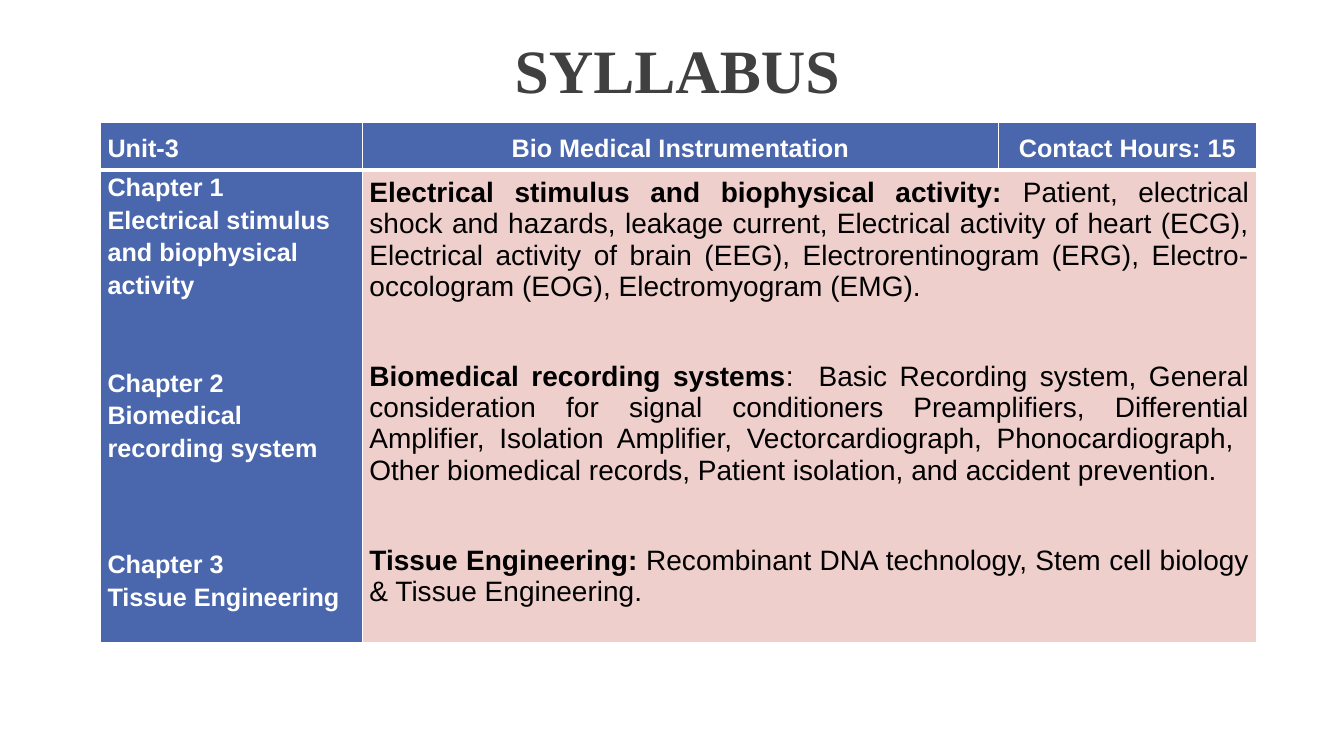
from lxml import etree
from pptx import Presentation
from pptx.dml.color import RGBColor
from pptx.enum.text import MSO_ANCHOR, MSO_AUTO_SIZE, PP_ALIGN
from pptx.oxml.ns import qn
from pptx.util import Cm, Pt

LEFT, CENTER, JUSTIFY = PP_ALIGN.LEFT, PP_ALIGN.CENTER, PP_ALIGN.JUSTIFY
TOP, MIDDLE = MSO_ANCHOR.TOP, MSO_ANCHOR.MIDDLE
BLUE, PINK, WHITE, BLACK, GREY = "4A66AC", "EFCFCC", "FFFFFF", "000000", "404040"


def style(r, size, color, bold=True, name="Arial"):
    r.font.size, r.font.bold, r.font.name = Pt(size), bold, name
    r.font.color.rgb = RGBColor.from_string(color)


def format_cell(cell, fill, anchor, widths):
    """Fill and margins, then white borders with widths in points per side."""
    cell.fill.solid()
    cell.fill.fore_color.rgb = RGBColor.from_string(fill)
    cell.vertical_anchor = anchor
    cell.margin_left = cell.margin_right = Cm(0.18)
    cell.margin_top = cell.margin_bottom = 0
    tcPr = cell._tc.get_or_add_tcPr()
    for i, (side, width) in enumerate(widths.items()):
        ln = etree.Element(qn("a:ln" + side), w=str(Pt(width)))
        solid = etree.SubElement(ln, qn("a:solidFill"))
        etree.SubElement(solid, qn("a:srgbClr"), val=WHITE)
        tcPr.insert(i, ln)


prs = Presentation()
prs.slide_width, prs.slide_height = Cm(33.87), Cm(19.05)
s = prs.slides.add_slide(prs.slide_layouts[5])

# Title
title = s.shapes.title
title.left, title.top, title.width, title.height = Cm(3.15), Cm(0.53), Cm(27.84), Cm(2.67)
tf = title.text_frame
tf.text = "SYLLABUS"
tf.auto_size = MSO_AUTO_SIZE.NONE
tf.vertical_anchor = MIDDLE
p = tf.paragraphs[0]
p.alignment, p.line_spacing = CENTER, 0.9
style(p.runs[0], 44, GREY, name="Times New Roman")

# Table grid
frame = s.shapes.add_table(2, 3, Cm(2.53), Cm(3.09), Cm(29.13), Cm(13.1))
table = frame.table
table.first_row = table.horz_banding = False
for column, width in zip(table.columns, (6.6, 16.03, 6.5)):
    column.width = Cm(width)
for row, height in zip(table.rows, (1.19, 11.91)):
    row.height = Cm(height)
table.cell(1, 1).merge(table.cell(1, 2))
for i in range(3):
    format_cell(table.cell(0, i), BLUE, MIDDLE, {"L": 1, "R": 1, "T": 1, "B": 3})
    format_cell(table.cell(1, i), PINK if i else BLUE, TOP, {"L": 1, "R": 1, "T": 3, "B": 1})

# Header row
headers = [("Unit-3", LEFT), ("Bio Medical Instrumentation", CENTER), ("Contact Hours: 15", CENTER)]
for i, (text, align) in enumerate(headers):
    p = table.cell(0, i).text_frame.paragraphs[0]
    p.text = text
    p.alignment, p.line_spacing = align, 1.15
    style(p.runs[0], 18, WHITE)

# Chapter names: text and space before in points
chapters = [
    ("Chapter 1", 0),
    ("Electrical stimulus and biophysical activity", 0),
    ("Chapter 2", 47),
    ("Biomedical recording system", 0),
    ("Chapter 3", 60),
    ("Tissue Engineering", 0),
]
tf = table.cell(1, 0).text_frame
for i, (text, gap) in enumerate(chapters):
    p = tf.add_paragraph() if i else tf.paragraphs[0]
    p.text = text
    p.line_spacing = 1.15
    if gap:
        p.space_before = Pt(gap)
    style(p.runs[0], 18, WHITE)

# Chapter contents: bold topic, then details
contents = [
    ("Electrical stimulus and biophysical activity: ",
     "Patient, electrical shock and hazards, leakage current, Electrical activity of heart (ECG), "
     "Electrical activity of brain (EEG), Electrorentinogram (ERG), Electro-occologram (EOG), "
     "Electromyogram (EMG)."),
    ("Biomedical recording systems",
     ":  Basic Recording system, General consideration for signal conditioners Preamplifiers, "
     "Differential Amplifier, Isolation Amplifier, Vectorcardiograph, Phonocardiograph,  "
     "Other biomedical records, Patient isolation, and accident prevention."),
    ("Tissue Engineering: ",
     "Recombinant DNA technology, Stem cell biology & Tissue Engineering."),
]
cell = table.cell(1, 1)
cell.margin_top = Cm(0.19)
tf = cell.text_frame
for i, parts in enumerate(contents):
    p = tf.add_paragraph() if i else tf.paragraphs[0]
    p.alignment = JUSTIFY
    if i:
        p.space_before = Pt(42)
    for text, bold in zip(parts, (True, False)):
        r = p.add_run()
        r.text = text
        style(r, 20, BLACK, bold)

prs.save("out.pptx")
